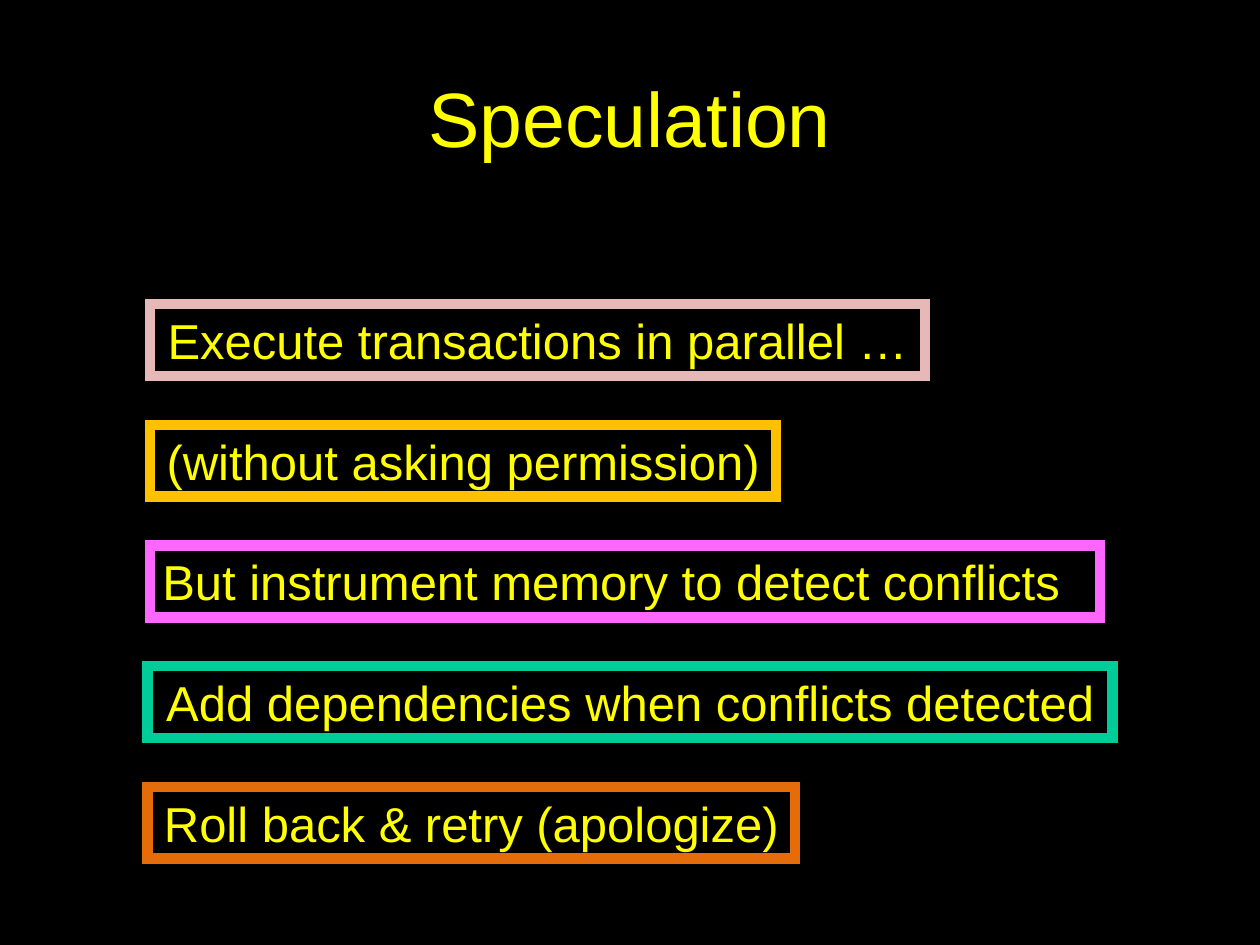
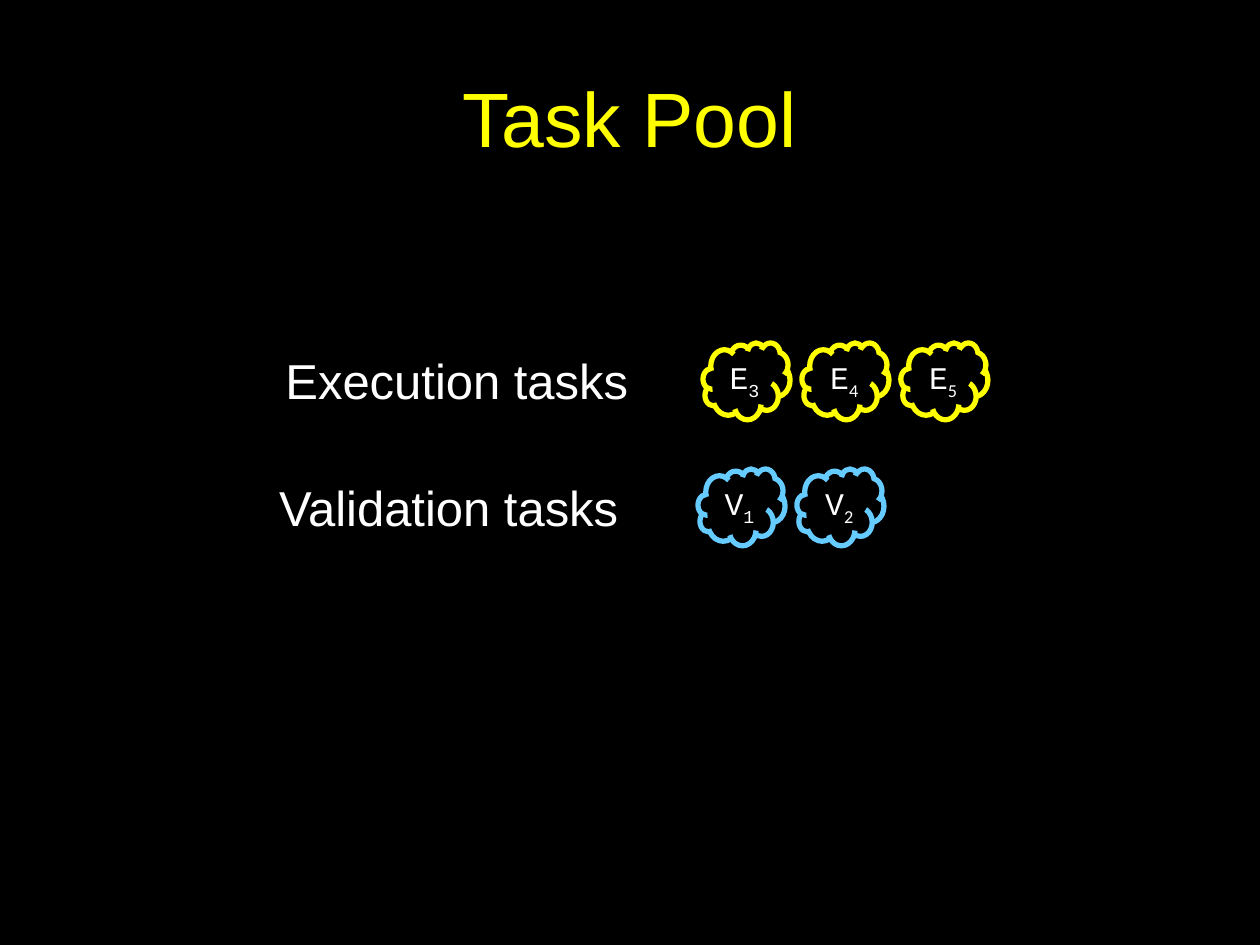
"""Build two slides on speculative execution: its steps and its task pool."""
import lxml.etree
import pptx
import pptx.dml.color
import pptx.enum.shapes
import pptx.enum.text
import pptx.oxml.ns
import pptx.util

Inches = pptx.util.Inches
Shape = pptx.enum.shapes.MSO_SHAPE
Anchor = pptx.enum.text.MSO_ANCHOR
Align = pptx.enum.text.PP_ALIGN

BLACK, WHITE, YELLOW, BLUE = "000000", "FFFFFF", "FFFF00", "66CCFF"


def rgb(value):
    return pptx.dml.color.RGBColor.from_string(value)


def add_label(slide, preset, box, text, size, color, font="Arial", fill=None,
              outline=None, align=Align.CENTER, anchor=Anchor.TOP):
    label = slide.shapes.add_shape(preset, *[Inches(length) for length in box])
    label.shadow.inherit = False
    if fill:
        label.fill.solid()
        label.fill.fore_color.rgb = rgb(fill)
    else:
        label.fill.background()
    if outline:
        label.line.color.rgb = rgb(outline[0])
        label.line.width = pptx.util.Pt(outline[1])
        if preset == Shape.RECTANGLE:
            stroke = label.line._get_or_add_ln()
            lxml.etree.SubElement(stroke, pptx.oxml.ns.qn("a:miter"), lim="800000")
    else:
        label.line.fill.background()
    frame = label.text_frame
    frame.word_wrap = False
    frame.auto_size = pptx.enum.text.MSO_AUTO_SIZE.SHAPE_TO_FIT_TEXT
    frame.vertical_anchor = anchor
    paragraph = frame.paragraphs[0]
    paragraph.add_run().text = text
    paragraph.alignment = align
    paragraph.font.size = pptx.util.Pt(size)
    paragraph.font.name = font
    paragraph.font.color.rgb = rgb(color)
    return paragraph


deck = pptx.Presentation()
deck.slide_width, deck.slide_height = Inches(10), Inches(7.5)

slides = []
for heading in ("Speculation", "Task Pool"):
    slide = deck.slides.add_slide(deck.slide_layouts[6])
    slide.background.fill.solid()
    slide.background.fill.fore_color.rgb = rgb(BLACK)
    title = slide.shapes.add_textbox(Inches(0.5), Inches(0.3), Inches(9), Inches(1.25))
    title.text_frame.word_wrap = True
    title.text_frame.vertical_anchor = Anchor.MIDDLE
    title_line = title.text_frame.paragraphs[0]
    title_line.text = heading
    title_line.alignment = Align.CENTER
    title_line.font.size = pptx.util.Pt(44)
    title_line.font.name = "Arial"
    title_line.font.color.rgb = rgb(YELLOW)
    slides.append(slide)
speculation, task_pool = slides

steps = [
    ("Execute transactions in parallel …", 1.19, 6.15, "E6B9B8", Align.CENTER),
    ("(without asking permission)", 1.19, 4.97, "FFC000", Align.CENTER),
    ("But instrument memory to detect conflicts", 1.19, 7.54, "FF66FF", Align.LEFT),
    ("Add dependencies when conflicts detected", 1.17, 7.66, "00CC99", Align.CENTER),
    ("Roll back & retry (apologize)", 1.17, 5.14, "E46C0A", Align.CENTER),
]
first_top, last_top = 2.415, 6.245
step_pitch = (last_top - first_top) / (len(steps) - 1)
for index, (step, left, width, frame_color, align) in enumerate(steps):
    add_label(speculation, Shape.RECTANGLE,
              (left, first_top + step_pitch * index, width, 0.57),
              step, 28, YELLOW, fill=BLACK, outline=(frame_color, 6), align=align)

task_rows = [
    ("Execution tasks", (2.15, 2.73, 2.95, 0.57), "E", "345", 5.58, 2.72, YELLOW),
    ("Validation tasks", (2.1, 3.74, 2.92, 0.57), "V", "12", 5.54, 3.72, BLUE),
]
cloud_pitch = 1.57 / 2
for caption, caption_box, letter, numbers, left, top, cloud_color in task_rows:
    add_label(task_pool, Shape.RECTANGLE, caption_box, caption, 28, WHITE, fill=BLACK)
    for index, number in enumerate(numbers):
        task = add_label(task_pool, Shape.CLOUD,
                         (left + cloud_pitch * index, top, 0.69, 0.61),
                         letter, 18, WHITE, font="Courier New",
                         outline=(cloud_color, 3), align=Align.RIGHT, anchor=Anchor.MIDDLE)
        subscript = task.add_run()
        subscript.text = number
        subscript.font.name = "Courier New" if index == 0 else "Calibri"
        subscript._r.get_or_add_rPr().set("baseline", "-25000")

deck.save("out.pptx")
